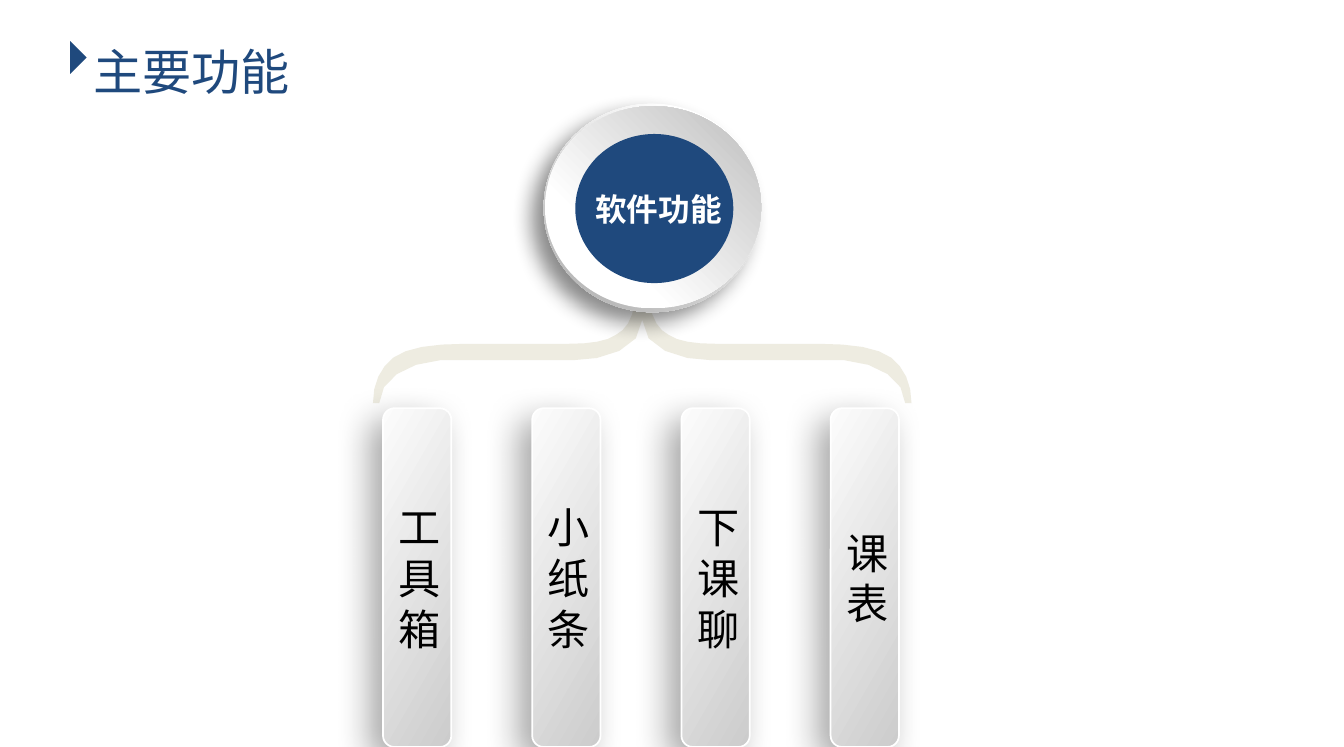
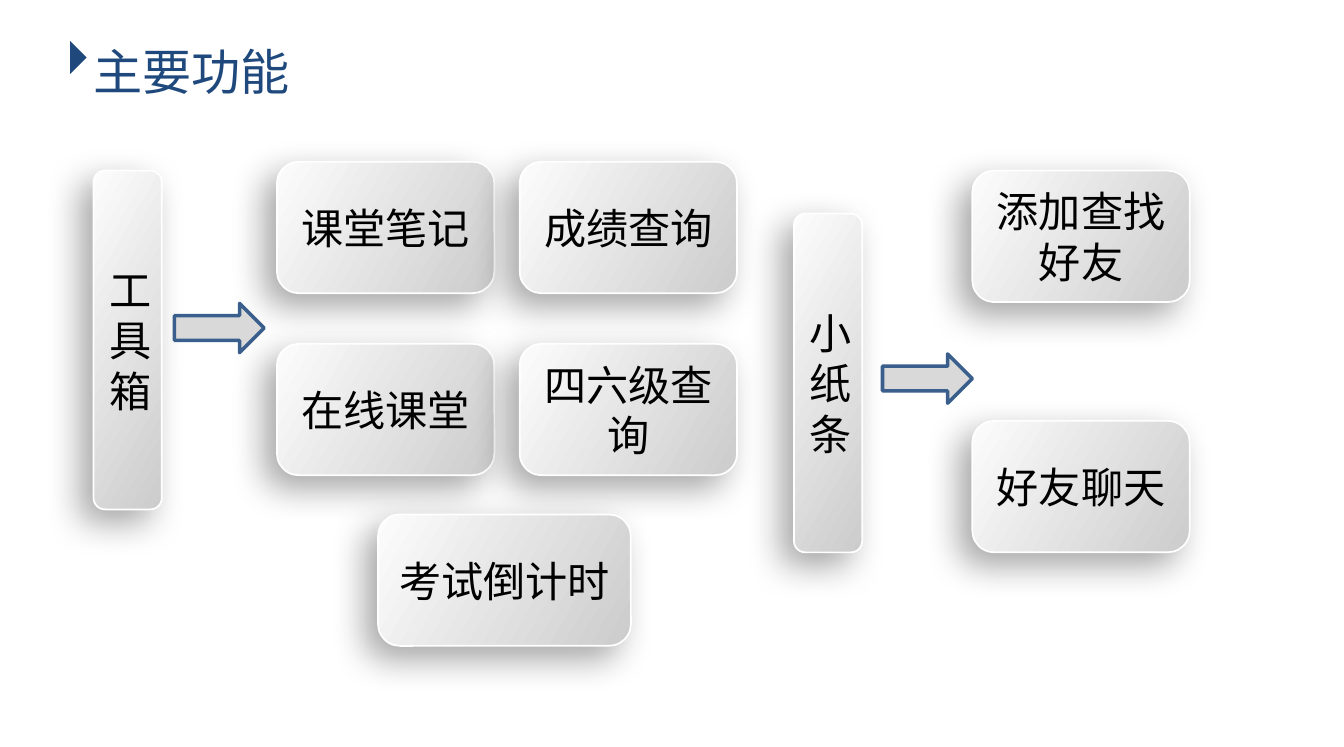
from dataclasses import dataclass

from lxml.etree import SubElement
from pptx import Presentation
from pptx.dml.color import RGBColor
from pptx.enum.shapes import MSO_SHAPE as Preset
from pptx.enum.text import MSO_ANCHOR as Anchor, PP_ALIGN as Align
from pptx.oxml.ns import qn
from pptx.util import Inches, Pt


@dataclass(frozen=True)
class Theme:
    navy: str = "1F497D"
    white: str = "FFFFFF"
    black: str = "000000"
    bracket: str = "EEECE1"
    arrow_fill: str = "D9D9D9"
    arrow_line: str = "3A5F8C"
    # Gradients: two (position, colour) stops and a counter-clockwise angle
    tile: tuple = ((0, "CCCCCC"), (1, "FCFCFC"), 150)
    rim: tuple = ((0.17, "FFFFFF"), (0.88, "B8B8B8"), 235)
    disc: tuple = ((0.29, "FFFFFF"), (0.98, "BFBFBF"), 45)
    # Shadows: opacity in percent, blur, distance, direction
    tile_shadow: tuple = (34, 20, 10, 136)
    rim_shadow: tuple = (45, 12, 9, 140)
    title_font: str = "Arial"
    tile_font: str = "Calibri"
    hub_font: str = "Noto Sans CJK SC"
    title_size: int = 28
    tile_size: int = 24
    hub_size: int = 18


THEME = Theme()
BAR_WIDTH, BAR_HEIGHT = 0.54, 2.68
CARD_WIDTH, CARD_HEIGHT = 1.72, 1.04


# Drawing helpers; every box is (left, top, width, height) in inches
def rgb(colour):
    return RGBColor.from_string(colour)


def add_shadow(shape, opacity, blur, distance, direction):
    effects = shape._element.spPr.find(qn("a:effectLst"))
    outer = SubElement(effects, qn("a:outerShdw"), blurRad=str(Pt(blur)),
                       dist=str(Pt(distance)), dir=str(direction * 60000),
                       algn="ctr", rotWithShape="0")
    tint = SubElement(outer, qn("a:srgbClr"), val=THEME.black)
    SubElement(tint, qn("a:alpha"), val=str(opacity * 1000))


def paint(shape, fill, line=None, line_width=1, shadow=None):
    if isinstance(fill, str):
        shape.fill.solid()
        shape.fill.fore_color.rgb = rgb(fill)
    else:
        *stops, angle = fill
        shape.fill.gradient()
        shape.fill.gradient_angle = angle
        for stop, (position, colour) in zip(shape.fill.gradient_stops, stops):
            stop.position = position
            stop.color.rgb = rgb(colour)
    if line:
        shape.line.color.rgb = rgb(line)
        shape.line.width = Pt(line_width)
    else:
        shape.line.fill.background()
    shape.shadow.inherit = False
    if shadow:
        add_shadow(shape, *shadow)
    return shape


def add_preset(page, preset, box, fill, **style):
    shape = page.shapes.add_shape(preset, *map(Inches, box))
    return paint(shape, fill, **style)


def write(shape, text, font, size, colour, bold=False, align=Align.LEFT,
          anchor=Anchor.TOP, wrap=True):
    frame = shape.text_frame
    frame.text = text
    frame.word_wrap = wrap
    frame.vertical_anchor = anchor
    para = frame.paragraphs[0]
    para.alignment = align
    span = para.runs[0].font
    span.name, span.size, span.bold = font, Pt(size), bold
    span.color.rgb = rgb(colour)


def add_text(page, box, text, *style, **options):
    write(page.shapes.add_textbox(*map(Inches, box)), text, *style, **options)


def add_tile(page, box, text):
    tile = add_preset(page, Preset.ROUNDED_RECTANGLE, box, THEME.tile,
                      line=THEME.white, shadow=THEME.tile_shadow)
    write(tile, text, THEME.tile_font, THEME.tile_size, THEME.black,
          align=Align.CENTER, anchor=Anchor.MIDDLE)


def bezier(start, *controls, steps=4):
    """Points along a cubic curve, without its start."""
    points = (start, *controls)
    for step in range(1, steps + 1):
        t = step / steps
        weights = ((1 - t) ** 3, 3 * t * (1 - t) ** 2, 3 * t * t * (1 - t), t ** 3)
        yield tuple(sum(w * p[axis] for w, p in zip(weights, points))
                    for axis in (0, 1))


# Regions
def add_title(page, left, top, text):
    add_text(page, (left + 0.15, top, 1.77, 0.57), text, THEME.title_font,
             THEME.title_size, THEME.navy, wrap=False)
    marker = add_preset(page, Preset.ISOSCELES_TRIANGLE,
                        (left, top + 0.11, 0.26, 0.13), THEME.navy)
    marker.rotation = 90
    # Thin band below the title
    band = add_preset(page, Preset.ROUNDED_RECTANGLE,
                      (left + 0.04, top + 0.55, 9.58, 0.03), THEME.white)
    band.adjustments[0] = 0.5


def add_bracket(page, centre, top):
    # Right half, from the notch below the hub out to the tip and back
    half = [(0, 0.13)]
    half += bezier(half[-1], (0, 0.36), (0.3, 0.45), (0.55, 0.45))
    half.append((1.6, 0.45))
    half += bezier(half[-1], (1.87, 0.47), (2.08, 0.61), (2.08, 0.79))
    half.append((2.13, 0.79))
    half += bezier(half[-1], (2.13, 0.63), (2.07, 0.51), (1.97, 0.43))
    half += bezier(half[-1], (1.86, 0.35), (1.67, 0.32), (1.39, 0.32))
    half.append((0.58, 0.32))
    half += bezier(half[-1], (0.41, 0.32), (0.28, 0.3), (0.21, 0.25))
    half += bezier(half[-1], (0.13, 0.21), (0.08, 0.13), (0.06, 0))
    outline = half + [(-x, y) for x, y in reversed(half[1:])]
    points = [(Inches(centre + x), Inches(top + y)) for x, y in outline]
    builder = page.shapes.build_freeform(*points[0])
    builder.add_line_segments(points[1:], close=True)
    paint(builder.convert_to_shape(), THEME.bracket)


def add_hub(page, left, top, text):
    add_preset(page, Preset.OVAL, (left, top, 1.72, 1.65), THEME.rim,
               shadow=THEME.rim_shadow)
    add_preset(page, Preset.OVAL, (left + 0.01, top + 0.02, 1.71, 1.6), THEME.disc)
    add_preset(page, Preset.OVAL, (left + 0.25, top + 0.24, 1.25, 1.18), THEME.navy)
    add_text(page, (left + 0.31, top + 0.63, 1.62, 0.79), text, THEME.hub_font,
             THEME.hub_size, THEME.white, bold=True)


def add_bars(page, left, top, step, names):
    for index, name in enumerate(names):
        add_tile(page, (left + index * step, top, BAR_WIDTH, BAR_HEIGHT), name)


def add_branch(page, left, top, name, bar_top, arrow_at, cards):
    """A bar, an arrow and cards of (text, left, top, width) beside it."""
    add_tile(page, (left, top + bar_top, BAR_WIDTH, BAR_HEIGHT), name)
    for text, x, y, width in cards:
        add_tile(page, (left + x, top + y, width, CARD_HEIGHT), text)
    add_preset(page, Preset.RIGHT_ARROW,
               (left + arrow_at[0], top + arrow_at[1], 0.71, 0.39),
               THEME.arrow_fill, line=THEME.arrow_line, line_width=2)


# Slides
def new_page(deck):
    page = deck.slides.add_slide(deck.slide_layouts[6])
    add_title(page, 0.49, 0.28, "主要功能")
    return page


def build_overview(deck):
    page = new_page(deck)
    add_bracket(page, 5.08, 2.4)
    add_hub(page, 4.3, 0.82, "软件功能")
    add_bars(page, 3.03, 3.23, 1.18, ["工具箱", "小纸条", "下课聊", "课表"])


def build_details(deck):
    page = new_page(deck)
    # Toolbox: a two by two grid with a wider card below
    grid = [["课堂笔记", "成绩查询"], ["在线课堂", "四六级查询"]]
    tools = [(text, 1.45 + column * 1.92, row * 1.44, CARD_WIDTH)
             for row, texts in enumerate(grid)
             for column, text in enumerate(texts)]
    tools.append(("考试倒计时", 2.25, 2.79, 2))
    add_branch(page, 0.74, 1.28, "工具箱", 0.07, (0.64, 1.12), tools)
    # Notes: two stacked cards
    notes = [(text, 1.41, row * 1.98, CARD_WIDTH)
             for row, text in enumerate(["添加查找好友", "好友聊天"])]
    add_branch(page, 6.28, 1.35, "小纸条", 0.34, (0.7, 1.45), notes)


def main():
    deck = Presentation()
    deck.slide_width, deck.slide_height = Inches(10.63), Inches(5.91)
    build_overview(deck)
    build_details(deck)
    deck.save("out.pptx")


if __name__ == "__main__":
    main()
